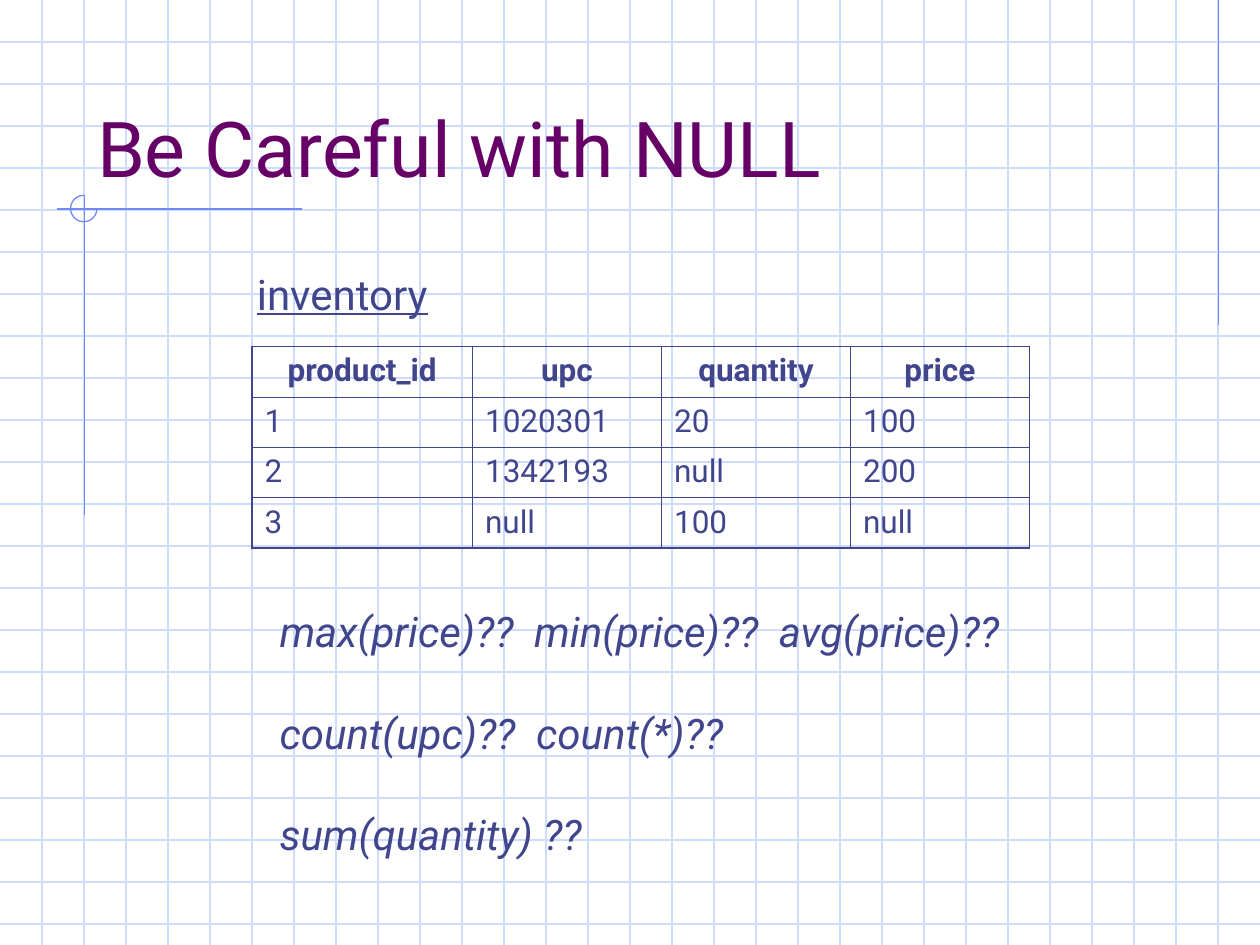
from dataclasses import dataclass

from lxml.etree import SubElement
from pptx import Presentation
from pptx.dml.color import RGBColor
from pptx.enum.shapes import MSO_CONNECTOR as Connector, MSO_SHAPE as Shape
from pptx.enum.text import MSO_ANCHOR as Anchor, PP_ALIGN as Align
from pptx.oxml import parse_xml
from pptx.oxml.ns import nsdecls, qn
from pptx.util import Inches, Pt


@dataclass(frozen=True)
class Theme:
    font: str = "Roboto"
    grid: str = "CFDBFD"
    accent: str = "6F89F7"
    title: str = "660066"
    text: str = "40458C"
    title_size: int = 44
    text_size: int = 24
    table_size: int = 18
    rule: float = 0.75
    outer_border: float = 1.08
    inner_border: float = 0.45


theme = Theme()


def add_line(x1, y1, x2, y2, color):
    line = slide.shapes.add_connector(
        Connector.STRAIGHT, Inches(x1), Inches(y1), Inches(x2), Inches(y2))
    line.line.color.rgb = RGBColor.from_string(color)
    line.line.width = Pt(theme.rule)
    SubElement(line.element.spPr, qn("a:effectLst"))


def write(paragraph, text, size, color, **formats):
    paragraph.text = text
    font = paragraph.runs[0].font
    font.color.rgb = RGBColor.from_string(color)
    for name, value in {"name": theme.font, "size": Pt(size), **formats}.items():
        setattr(font, name, value)


presentation = Presentation()
presentation.slide_width, presentation.slide_height = Inches(10), Inches(7.5)
slide = presentation.slides.add_slide(presentation.slide_layouts[5])

# Graph paper: three squares to the inch
for step in range(1, 23):
    add_line(0, step / 3, 10, step / 3, theme.grid)
for step in range(1, 30):
    add_line(step / 3, 0, step / 3, 7.5, theme.grid)

# Accent rules and the three-quarter circle where they cross
for ends in [(9.67, 0, 9.67, 2.58), (2.4, 1.66, 0.45, 1.66), (0.67, 1.55, 0.67, 4.09)]:
    add_line(*ends, theme.accent)
arc = slide.shapes.add_shape(
    Shape.ARC, Inches(0.56), Inches(1.55), Inches(0.21), Inches(0.21))
arc.adjustments[0], arc.adjustments[1] = 0, 162
arc.shadow.inherit = False
arc.fill.background()
arc.line.color.rgb = RGBColor.from_string(theme.accent)
arc.line.width = Pt(theme.rule)

# Title, brought in front of the graph paper
title = slide.shapes.title
title.element.getparent().append(title.element)
title.left, title.top = Inches(0.67), Inches(0.33)
title.width, title.height = Inches(8.5), Inches(1.25)
title.text_frame.vertical_anchor = Anchor.BOTTOM
write(title.text_frame.paragraphs[0], "Be Careful with NULL", theme.title_size, theme.title)
title.text_frame.paragraphs[0].alignment = Align.LEFT

# Inventory table
rows = [
    ["product_id", "upc", "quantity", "price"],
    ["1", "1020301", "20", "100"],
    ["2", "1342193", "null", "200"],
    ["3", "null", "100", "null"],
]
widths = [1.75, 1.5, 1.5, 1.42]
table = slide.shapes.add_table(
    len(rows), len(widths), Inches(2), Inches(2.75),
    Inches(sum(widths)), Inches(0.4 * len(rows))).table
table.first_row = table.horz_banding = False
for column, width in zip(table.columns, widths):
    column.width = Inches(width)
for row_index, row in enumerate(rows):
    table.rows[row_index].height = Inches(0.4)
    for column_index, text in enumerate(row):
        cell = table.cell(row_index, column_index)
        cell.fill.background()
        paragraph = cell.text_frame.paragraphs[0]
        is_header = row_index == 0
        write(paragraph, text, theme.table_size, theme.text, bold=is_header)
        paragraph.alignment = Align.CENTER if is_header else Align.LEFT

        # Heavier border around the outside of the table
        is_outer = {
            "lnL": column_index == 0,
            "lnR": column_index == len(widths) - 1,
            "lnT": row_index == 0,
            "lnB": row_index == len(rows) - 1,
        }
        properties = cell._tc.get_or_add_tcPr()
        for position, (side, outer) in enumerate(is_outer.items()):
            weight = Pt(theme.outer_border if outer else theme.inner_border)
            properties.insert(position, parse_xml(
                f'<a:{side} {nsdecls("a")} w="{weight}"><a:solidFill>'
                f'<a:srgbClr val="{theme.text}"/></a:solidFill></a:{side}>'))

# Table name and the questions below the table
questions = [
    "max(price)??  min(price)??  avg(price)??",
    "count(upc)??  count(*)??",
    "sum(quantity) ??",
]
text_boxes = [
    ((1.94, 2.08, 1.68, 0.5), ["inventory"], {"underline": True}),
    ((2.12, 4.76, 5.92, 2.1), questions, {"italic": True}),
]
for place, lines, formats in text_boxes:
    frame = slide.shapes.add_textbox(*map(Inches, place)).text_frame
    frame.word_wrap = False
    for index, text in enumerate(lines):
        paragraph = frame.add_paragraph() if index else frame.paragraphs[0]
        write(paragraph, text, theme.text_size, theme.text, **formats)
        if index:
            paragraph.space_before = Pt(29)

presentation.save("out.pptx")
